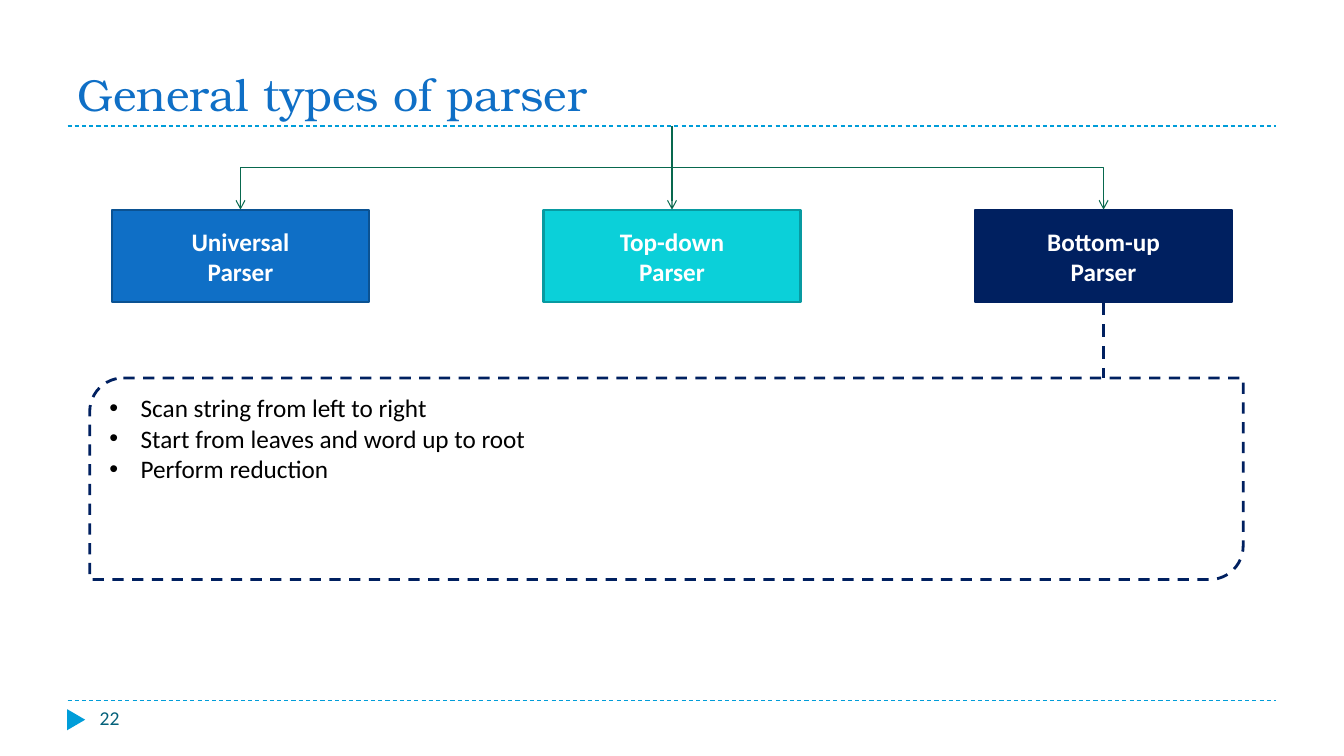
from dataclasses import dataclass

from lxml import etree
from pptx import Presentation
from pptx.dml.color import RGBColor
from pptx.enum.dml import MSO_LINE
from pptx.enum.shapes import MSO_CONNECTOR, MSO_SHAPE
from pptx.enum.text import MSO_ANCHOR, MSO_AUTO_SIZE, PP_ALIGN
from pptx.oxml.ns import qn
from pptx.shapes.autoshape import Shape
from pptx.shapes.connector import Connector
from pptx.slide import Slide
from pptx.text.text import TextFrame
from pptx.util import Inches, Pt

COLORS = {
    "rule": "009DD9",
    "title": "0F6FC6",
    "number": "04617B",
    "arrow": "08684E",
    "navy": "002060",
    "blue": "0F6FC6",
    "blue edge": "0B5292",
    "cyan": "0BD0D9",
    "cyan edge": "089AA1",
    "white": "FFFFFF",
    "black": "000000",
}
BODY_FONT = "Calibri"
TITLE_FONT = "TeX Gyre Bonum"

BOX_LEFT, BOX_TOP, BOX_WIDTH, BOX_HEIGHT = 1.11, 2.08, 2.55, 0.92
BOX_STEP = 4.28
TREE_TOP = 1.25
DETAIL_TOP = 3.75


@dataclass
class ParserType:
    lines: tuple[str, str]
    fill: str
    edge: str


PARSER_TYPES = [
    ParserType(("Universal", "Parser"), "blue", "blue edge"),
    ParserType(("Top-down", "Parser"), "cyan", "cyan edge"),
    ParserType(("Bottom-up", "Parser"), "navy", "navy"),
]
BOTTOM_UP_STEPS = [
    "Scan string from left to right",
    "Start from leaves and word up to root",
    "Perform reduction",
]


def rgb(name: str) -> RGBColor:
    return RGBColor.from_string(COLORS[name])


def write_lines(frame: TextFrame, lines: tuple | list, size: float, color: str,
                font: str = BODY_FONT, bold: bool = False,
                align: PP_ALIGN = PP_ALIGN.LEFT, bulleted: bool = False) -> None:
    frame.word_wrap = True
    frame.text = "\n".join(lines)
    for paragraph in frame.paragraphs:
        paragraph.alignment = align
        if bulleted:
            properties = paragraph._p.get_or_add_pPr()
            properties.set("marL", str(Inches(0.31)))
            properties.set("indent", str(Inches(-0.31)))
            etree.SubElement(properties, qn("a:buFont")).set("typeface", "Arial")
            etree.SubElement(properties, qn("a:buChar")).set("char", "•")
        paragraph.font.name = font
        paragraph.font.size = Pt(size)
        paragraph.font.bold = bold
        paragraph.font.color.rgb = rgb(color)


def add_line(slide: Slide, start: tuple[float, float], end: tuple[float, float],
             color: str, width: float, dashed: bool = False, arrow: bool = False,
             kind: MSO_CONNECTOR = MSO_CONNECTOR.STRAIGHT) -> Connector:
    line = slide.shapes.add_connector(
        kind, *(Inches(value) for value in (*start, *end)))
    line.line.color.rgb = rgb(color)
    line.line.width = Pt(width)
    if dashed:
        line.line.dash_style = MSO_LINE.DASH
    if arrow:
        outline = line.line._get_or_add_ln()
        etree.SubElement(outline, qn("a:tailEnd")).set("type", "arrow")
    etree.SubElement(line._element.spPr, qn("a:effectLst"))
    return line


def add_branch(slide: Slide, root_x: float, box_x: float) -> None:
    """Draw an elbow that leaves the root downwards: a turned sideways elbow."""
    center_x, center_y = (root_x + box_x) / 2, (TREE_TOP + BOX_TOP) / 2
    half_drop, half_span = (BOX_TOP - TREE_TOP) / 2, abs(box_x - root_x) / 2
    side = 1 if box_x > root_x else -1
    branch = add_line(
        slide,
        (center_x + side * half_drop, center_y - half_span),
        (center_x - side * half_drop, center_y + half_span),
        "arrow", 0.75, arrow=True, kind=MSO_CONNECTOR.ELBOW)
    degrees = 270 if side > 0 else 90
    branch._element.spPr.find(qn("a:xfrm")).set("rot", str(degrees * 60000))


def add_box(slide: Slide, preset: MSO_SHAPE, left: float, top: float,
            width: float, height: float, fill: str | None = None,
            edge: str | None = None, edge_width: float = 1.5) -> Shape:
    box = slide.shapes.add_shape(
        preset, Inches(left), Inches(top), Inches(width), Inches(height))
    box.shadow.inherit = False
    if fill:
        box.fill.solid()
        box.fill.fore_color.rgb = rgb(fill)
    else:
        box.fill.background()
    if edge:
        box.line.color.rgb = rgb(edge)
        box.line.width = Pt(edge_width)
    else:
        box.line.fill.background()
    return box


def add_frame(slide: Slide) -> None:
    """Draw the rules, the title and the page number."""
    for rule_y in (6.95, TREE_TOP):
        add_line(slide, (0.67, rule_y), (12.66, rule_y), "rule", 0.75, dashed=True)
    marker = add_box(slide, MSO_SHAPE.ISOSCELES_TRIANGLE, 0.65, 7.05, 0.21, 0.18, "rule")
    marker.rotation = 90

    title = slide.shapes.title
    title.left, title.top = Inches(0.67), Inches(0.25)
    title.width, title.height = Inches(12), Inches(1)
    write_lines(title.text_frame, ["General types of parser"], 32, "title", TITLE_FONT)
    title.text_frame.auto_size = MSO_AUTO_SIZE.NONE
    title.text_frame.vertical_anchor = MSO_ANCHOR.BOTTOM

    page_number = slide.shapes.add_textbox(
        Inches(0.89), Inches(6.95), Inches(2.89), Inches(0.4))
    write_lines(page_number.text_frame, ["22"], 14, "number")


def add_parser_tree(slide: Slide) -> None:
    boxes, centers = [], []
    for index, parser in enumerate(PARSER_TYPES):
        left = BOX_LEFT + index * BOX_STEP
        box = add_box(slide, MSO_SHAPE.RECTANGLE, left, BOX_TOP,
                      BOX_WIDTH, BOX_HEIGHT, parser.fill, parser.edge)
        write_lines(box.text_frame, parser.lines, 18, "white",
                    bold=True, align=PP_ALIGN.CENTER)
        box.text_frame.vertical_anchor = MSO_ANCHOR.MIDDLE
        boxes.append(box)
        centers.append(left + BOX_WIDTH / 2)

    universal_x, top_down_x, bottom_up_x = centers
    trunk = add_line(slide, (top_down_x, TREE_TOP), (top_down_x, BOX_TOP),
                     "arrow", 0.75, arrow=True)
    trunk.end_connect(boxes[1], 0)
    for box_x in (bottom_up_x, universal_x):
        add_branch(slide, top_down_x, box_x)

    details = add_box(slide, MSO_SHAPE.ROUND_2_DIAG_RECTANGLE,
                      0.89, DETAIL_TOP, 11.44, 2, edge="navy", edge_width=2)
    details.line.dash_style = MSO_LINE.DASH
    write_lines(details.text_frame, BOTTOM_UP_STEPS, 18, "black", bulleted=True)
    details.text_frame.vertical_anchor = MSO_ANCHOR.TOP

    detail_link = add_line(slide, (bottom_up_x, BOX_TOP + BOX_HEIGHT),
                           (bottom_up_x, DETAIL_TOP), "navy", 2.25, dashed=True)
    detail_link.begin_connect(boxes[2], 2)


def main() -> None:
    presentation = Presentation()
    presentation.slide_width = Inches(13.33)
    presentation.slide_height = Inches(7.5)
    slide = presentation.slides.add_slide(presentation.slide_layouts[5])
    add_frame(slide)
    add_parser_tree(slide)
    presentation.save("out.pptx")


if __name__ == "__main__":
    main()
